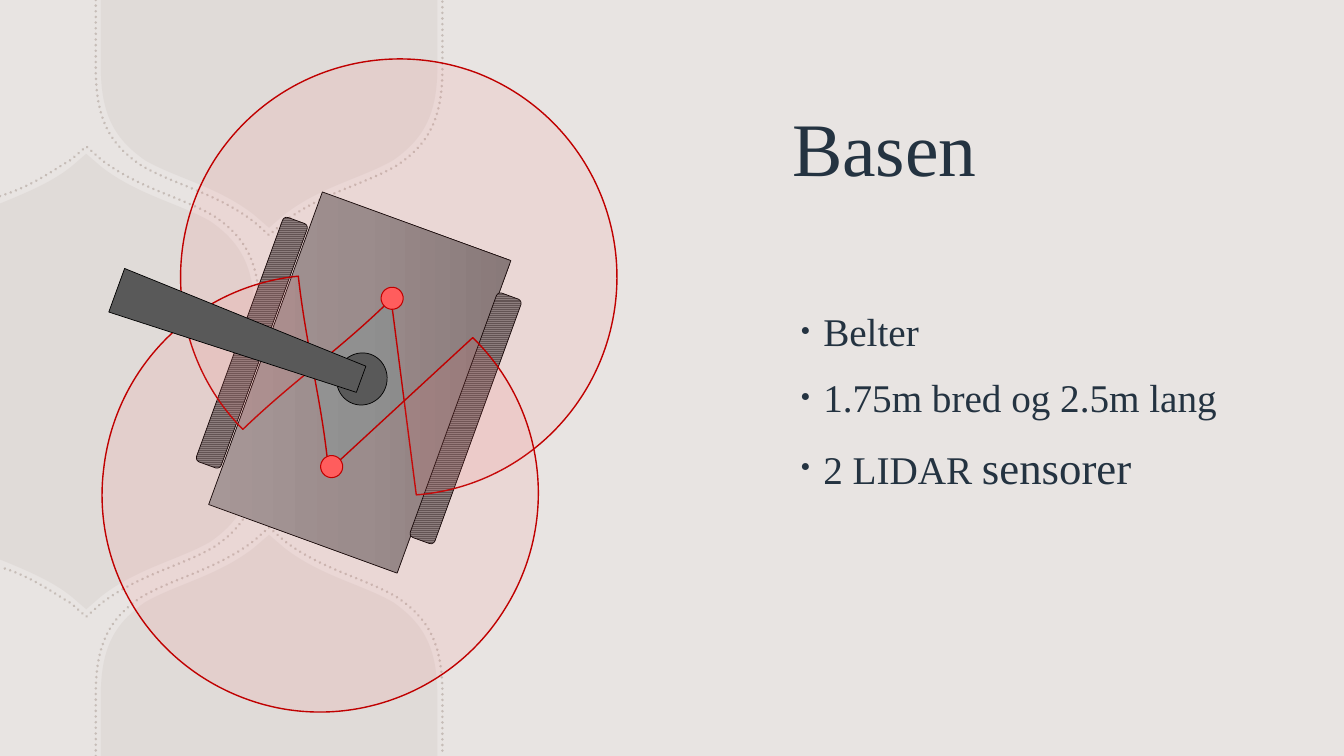
from copy import deepcopy
from dataclasses import dataclass
from typing import Callable

from lxml import etree
from pptx import Presentation
from pptx import util as u
from pptx.dml.color import RGBColor
from pptx.enum import dml, shapes, text
from pptx.oxml.ns import qn

SAND = RGBColor(0xE8, 0xE4, 0xE2)
TILE = RGBColor(0xB5, 0xA9, 0xA2)
INK = RGBColor(0x24, 0x33, 0x41)
BLACK = RGBColor(0, 0, 0)
STEEL = RGBColor(0x59, 0x59, 0x59)
TREAD_DARK = RGBColor(0x52, 0x52, 0x52)
TREAD_LIGHT = RGBColor(0x80, 0x80, 0x80)
BEAM = RGBColor(0xFF, 0x69, 0x69)
SENSOR = RGBColor(0xFF, 0x5D, 0x5D)
RED = RGBColor(0xC0, 0, 0)
CHASSIS_STOPS = [(0, RGBColor(0x9D, 0x9D, 0x9D)), (0.5, RGBColor(0x90, 0x90, 0x90)),
                 (1, RGBColor(0x7C, 0x7C, 0x7C))]
FONT = "Times New Roman"
WIDTH, HEIGHT = 960, 540
KIND = shapes.MSO_SHAPE
Point = tuple[float, float]
Frame = tuple[float, float, float, float]
Route = list[list[Point]]


@dataclass
class Tile:
    """Sides run clockwise; every other one is walked from its far end to its apex."""
    centre: Point
    sides: list[tuple[int, int]]
    edge: float | None = None


@dataclass
class Beam:
    left: float
    top: float
    route: Route


@dataclass
class Part:
    kind: KIND
    left: float
    top: float
    width: float
    height: float
    turn: float
    paint: Callable
    line: RGBColor = BLACK
    weight: float = 0.5


def tile_route(tile: Tile, quarter: list[Point], tail: list[Point]) -> Route:
    """Steps of one point are straight, steps of three points are curves."""
    route: Route = []
    for index, (sign_x, sign_y) in enumerate(tile.sides):
        knots = tail if sign_x < 0 and tile.edge is None else quarter
        knots = [(tile.centre[0] + sign_x * x, tile.centre[1] + sign_y * y) for x, y in knots]
        if index % 2:
            curves = knots[2:]
            steps = [knots[:1], knots[1:2]]
        else:
            curves = knots[:1:-1][1:] + knots[1:2]
            steps = [knots[-1:]]
        steps += [curves[start:start + 3] for start in range(0, len(curves), 3)]
        if not index % 2:
            steps.append(knots[:1])
        route += steps[1:] if route and route[-1][-1] == steps[0][0] else steps
    if tile.edge is not None:
        route = [[(route[0][0][0], tile.edge)], *route, [(route[-1][-1][0], tile.edge)]]
    return route


def route_frame(route: Route) -> Frame:
    across, down = zip(*(step[-1] for step in route))
    return min(across), min(down), max(across), max(down)


def add_outline(page, route: Route, frame: Frame, close: bool):
    left, top, right, bottom = map(u.Pt, frame)
    builder = page.shapes.build_freeform(left, top)
    builder.add_line_segments([(right, bottom)], close=False)
    shape = builder.convert_to_shape()
    track = shape.element.spPr.find(f".//{qn('a:pathLst')}")[0]
    for child in list(track):
        track.remove(child)
    for index, step in enumerate(route):
        tag = "a:cubicBezTo" if len(step) == 3 else "a:lnTo" if index else "a:moveTo"
        command = etree.SubElement(track, qn(tag))
        for x, y in step:
            point = etree.SubElement(command, qn("a:pt"))
            point.set("x", str(u.Pt(x) - left))
            point.set("y", str(u.Pt(y) - top))
    if close:
        etree.SubElement(track, qn("a:close"))
    shape.shadow.inherit = False
    return shape


def set_alpha(shape, holder: str, percent: int) -> None:
    """Make the colour under the given element of the shape translucent."""
    color = shape.element.spPr.find(f"{qn(holder)}//{qn('a:srgbClr')}")
    etree.SubElement(color, qn("a:alpha")).set("val", str(percent * 1000))


def set_line(shape, color: RGBColor, weight: float) -> None:
    shape.shadow.inherit = False
    shape.line.color.rgb = color
    shape.line.width = u.Pt(weight)


def solid(color: RGBColor) -> Callable:
    def paint(shape) -> None:
        shape.fill.solid()
        shape.fill.fore_color.rgb = color
    return paint


def paint_tread(shape) -> None:
    shape.fill.patterned()
    shape.fill.pattern = dml.MSO_PATTERN.LIGHT_HORIZONTAL
    shape.fill.fore_color.rgb = TREAD_DARK
    shape.fill.back_color.rgb = TREAD_LIGHT


def paint_chassis(shape) -> None:
    shape.fill.gradient()
    shape.fill.gradient_angle = 290
    stops = shape.element.spPr.find(f".//{qn('a:gsLst')}")
    stops.append(deepcopy(stops[0]))
    for stop, (position, color) in zip(shape.fill.gradient_stops, CHASSIS_STOPS):
        stop.position = position
        stop.color.rgb = color


def add_tile(page, tile: Tile) -> None:
    route = tile_route(tile, FILL_QUARTER, FILL_TAIL)
    area = add_outline(page, route, route_frame(route), True)
    solid(TILE)(area)
    set_alpha(area, "a:solidFill", 15)
    area.line.fill.background()
    route = tile_route(tile, BORDER_QUARTER, BORDER_TAIL)
    border = add_outline(page, route, route_frame(route), False)
    border.fill.background()
    set_line(border, TILE, 2)
    set_alpha(border, "a:ln", 65)
    border.line.dash_style = dml.MSO_LINE.ROUND_DOT
    border.element.spPr.find(qn("a:ln")).set("cap", "rnd")


def add_beam(page, beam: Beam, size: float = 311.8) -> None:
    frame = beam.left, beam.top, beam.left + size, beam.top + size
    shape = add_outline(page, beam.route, frame, True)
    solid(BEAM)(shape)
    set_alpha(shape, "a:solidFill", 10)
    set_line(shape, RED, 1)


def add_part(page, part: Part) -> None:
    frame = map(u.Pt, (part.left, part.top, part.width, part.height))
    shape = page.shapes.add_shape(part.kind, *frame)
    shape.rotation = part.turn
    part.paint(shape)
    set_line(shape, part.line, part.weight)


def add_text(page, frame: Frame, anchor, paragraphs: list, style: dict, bullet: bool = False) -> None:
    """Each paragraph is a list of (text, size) spans."""
    box = page.shapes.add_textbox(*map(u.Pt, frame)).text_frame
    box.word_wrap = True
    box.vertical_anchor = anchor
    for index, spans in enumerate(paragraphs):
        para = box.add_paragraph() if index else box.paragraphs[0]
        for name, value in style.items():
            setattr(para, name, value)
        for words, size in spans:
            span = para.add_run()
            span.text = words
            for name, value in {"name": FONT, "size": u.Pt(size)}.items():
                setattr(span.font, name, value)
            span.font.color.rgb = INK
        if bullet:
            props = para._p.get_or_add_pPr()
            props.set("marL", str(u.Pt(18)))
            props.set("indent", str(-u.Pt(18)))
            for tag, name, value in [("a:buSzPct", "val", "150000"), ("a:buFont", "typeface", FONT),
                                     ("a:buChar", "char", "∙")]:
                etree.SubElement(props, qn(tag)).set(name, value)


FILL_QUARTER = [(0, 162.7), (10.8, 153.4), (36.7, 133.2), (66.2, 127.4), (88.6, 114.5),
                (110.2, 99.4), (120.2, 82.1), (120.2, 47.5)]
FILL_TAIL = [(0, 162.7), (10.8, 153.4), (24.1, 142.9), (39.6, 136.1), (61.6, 127.1)]
BORDER_QUARTER = [(0, 168), (10.8, 158.4), (38.2, 137.5), (68.4, 131.8), (91.4, 118.1),
                  (113.8, 103), (123.8, 85), (123.8, 49)]
BORDER_TAIL = [(0, 168), (10.8, 158.4), (21.6, 152.6), (37.4, 139.7), (61.6, 132.5)]
TILES = [Tile((192.2, 0), [(-1, 1), (1, 1)], 0),
         Tile((61.6, 272.5), [(-1, -1), (1, -1), (1, 1), (-1, 1)]),
         Tile((192.2, 544.7), [(-1, -1), (1, -1)], HEIGHT)]
BODY = [Part(KIND.RECTANGLE, 138.2, 201.6, 237.6, 143.3, 290, paint_chassis),
        Part(KIND.OVAL, 240.5, 252, 36, 37.4, 20, solid(STEEL)),
        Part(KIND.ROUNDED_RECTANGLE, 323.3, 205.9, 18.7, 185.8, 20, paint_tread),
        Part(KIND.ROUNDED_RECTANGLE, 170.6, 151.9, 18.7, 185.8, 20, paint_tread)]
BEAMS = [
    Beam(128.9, 41.8, [
        [(173.5, 306.7)], [(122.4, 254.9), (114.5, 174.2), (154.1, 113)],
        [(194.4, 51.8), (271.4, 26.6), (339.8, 51.8)], [(408.2, 77.8), (449.3, 147.6), (439.2, 219.6)],
        [(429.1, 292.3), (370.1, 347.8), (297.4, 353.5)], [(279.4, 213.8)],
        [(241.9, 250.6), (211, 270.7), (173.5, 306.7)]]),
    Beam(72.7, 196.6, [
        [(213.1, 197.3)], [(140.4, 204.5), (82.8, 261.4), (74.2, 334.1)],
        [(64.8, 406.1), (108, 475.2), (177.1, 499.7)], [(245.5, 524.2), (322.6, 496.8), (360.7, 434.9)],
        [(399.6, 373), (390.2, 292.3), (337.7, 241.2)], [(234.7, 336.2)],
        [(229.7, 284.4), (218.9, 249.1), (213.1, 197.3)]])]
ARM_AND_SENSORS = [
    Part(KIND.FLOWCHART_MANUAL_OPERATION, 154.1, 146.2, 33.1, 185.8, 290, solid(STEEL)),
    *(Part(KIND.OVAL, left, top, 15.8, 15.8, 20, solid(SENSOR), RED, 0.75)
      for left, top in [(272.2, 205.2), (229, 325.4)])]


def main() -> None:
    deck = Presentation()
    deck.slide_width, deck.slide_height = u.Pt(WIDTH), u.Pt(HEIGHT)
    page = deck.slides.add_slide(deck.slide_layouts[6])
    page.background.fill.solid()
    page.background.fill.fore_color.rgb = SAND
    add_text(page, (558.7, 45.4, 329, 118.8), text.MSO_ANCHOR.MIDDLE, [[("Basen", 54)]], {})
    for tile in TILES:
        add_tile(page, tile)
    facts = [[("Belter", 28)], [("1.75m bred og 2.5m lang", 28)], [("2 LIDAR ", 28), ("sensorer", 32)]]
    add_text(page, (563, 180, 329, 176), text.MSO_ANCHOR.BOTTOM, facts,
             {"line_spacing": 1.1, "space_before": u.Pt(10)}, bullet=True)
    for part in BODY:
        add_part(page, part)
    for beam in BEAMS:
        add_beam(page, beam)
    for part in ARM_AND_SENSORS:
        add_part(page, part)
    deck.save("out.pptx")


if __name__ == "__main__":
    main()
